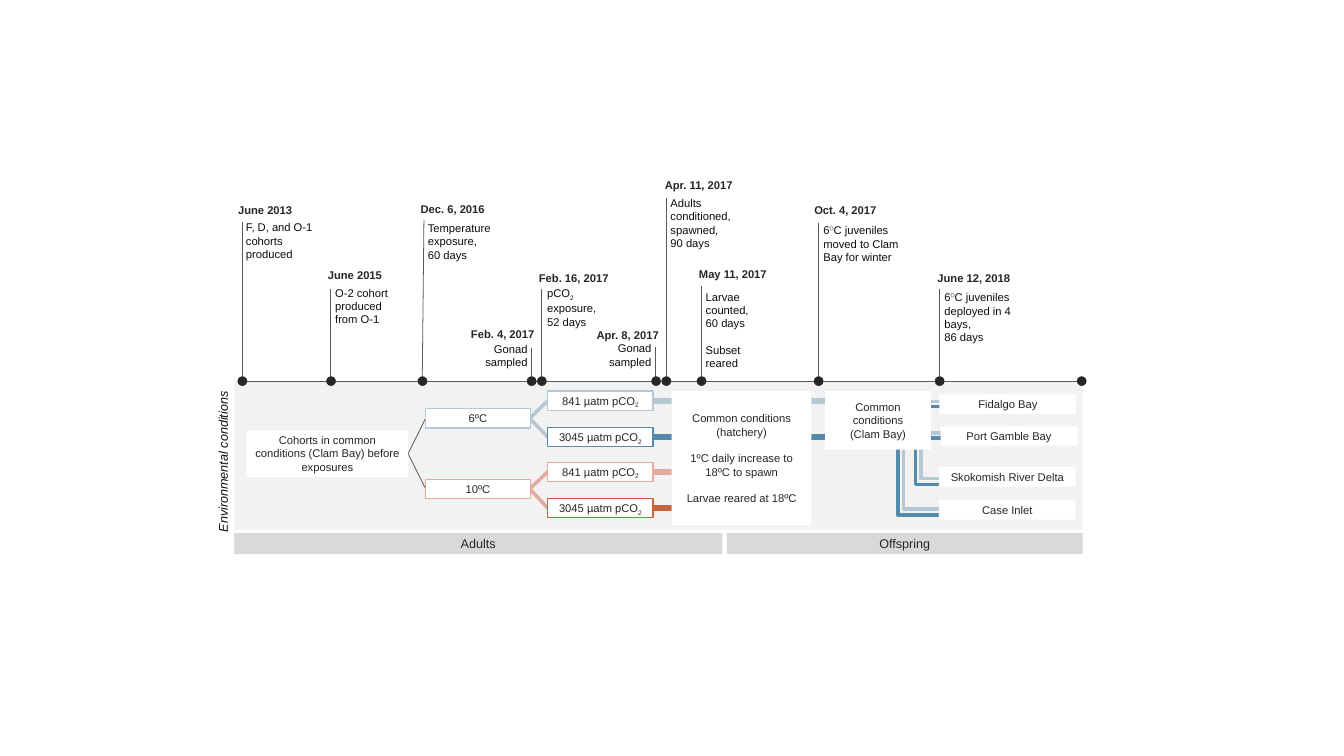
"""Build the timeline slide of the oyster exposure study."""
from lxml import etree
from pptx import Presentation, util as u
from pptx.dml.color import RGBColor
from pptx.enum import shapes, text
from pptx.oxml.ns import qn

INK, DARK, GREY, WHITE = "262626", "0D0D0D", "595959", "FFFFFF"
PALE, BLUE, PINK, RUST = "B6C9D2", "538BAC", "E2AB9E", "C86442"
LEFT, MID, RIGHT = text.PP_ALIGN.LEFT, text.PP_ALIGN.CENTER, text.PP_ALIGN.RIGHT
AXIS = 6.71
SIZE = 14.2
BLANK = 16.3
SUB = ("2", "sub")
DEGREE = ("º", "808080")


def inch(value):
    """Turn inches into a length."""
    return u.Cm(value * 2.54)


def tint(code):
    """Turn a hex string into a colour."""
    return RGBColor.from_string(code)


def write(frame, paras, color=INK, align=MID, size=SIZE, bold=False,
          slant=False, gaps=(), anchor=text.MSO_ANCHOR.TOP):
    """Fill a text frame run by run, with a blank line's space at each gap."""
    frame.word_wrap = True
    frame.vertical_anchor = anchor
    for i, runs in enumerate(paras):
        para = frame.paragraphs[0] if i == 0 else frame.add_paragraph()
        para.alignment = align
        if i in gaps:
            para.space_before = u.Pt(BLANK)
        for part in [runs] if isinstance(runs, str) else runs:
            words, kind = (part, "") if isinstance(part, str) else part
            run = para.add_run()
            run.text = words
            font = run.font
            font.name, font.size = "Arial", u.Pt(size)
            font.bold, font.italic = bold, slant
            font.color.rgb = tint(kind if len(kind) == 6 else color)
            if kind == "sub":
                font._element.set("baseline", "-25000")


def label(slide, x, y, w, h, paras, **style):
    """Add a text box."""
    box = slide.shapes.add_textbox(inch(x), inch(y), inch(w), inch(h))
    write(box.text_frame, paras, **style)
    return box


def block(slide, x, y, w, h, fill, edge=None, paras=(),
          kind=shapes.MSO_SHAPE.RECTANGLE, **style):
    """Add a filled shape with an optional edge and text."""
    shape = slide.shapes.add_shape(kind, inch(x), inch(y), inch(w), inch(h))
    shape.shadow.inherit = False
    shape.fill.solid()
    shape.fill.fore_color.rgb = tint(fill)
    if edge:
        shape.line.color.rgb = tint(edge)
        shape.line.width = u.Pt(1.5)
    else:
        shape.line.fill.background()
    if paras:
        write(shape.text_frame, paras, **style)


def dot(slide, x):
    """Mark a date on the time axis."""
    block(slide, x - 0.08, AXIS - 0.09, 0.17, 0.17, INK, kind=shapes.MSO_SHAPE.OVAL)


def line(slide, x1, y1, x2, y2, color=GREY, width=1):
    """Add a straight line."""
    link = slide.shapes.add_connector(
        shapes.MSO_CONNECTOR.STRAIGHT, inch(x1), inch(y1), inch(x2), inch(y2))
    link.line.color.rgb = tint(color)
    link.line.width = u.Pt(width)
    etree.SubElement(link._element.spPr, qn("a:effectLst"))


def bend(slide, x, top, end, y, color):
    """Add a route that runs down and then right."""
    path = slide.shapes.build_freeform(inch(x), inch(top), scale=1.0)
    path.add_line_segments([(inch(x), inch(y)), (inch(end), inch(y))], close=False)
    shape = path.convert_to_shape()
    shape.shadow.inherit = False
    shape.fill.background()
    shape.line.color.rgb = tint(color)
    shape.line.width = u.Pt(4.5)


def events(slide):
    """Add dates, stems, notes and dots along the axis."""
    # stem x, tip x, tip y, date centre, date y, note x, y, width, paragraphs
    rows = [
        (4.26, 4.26, 3.91, 4.67, 3.52, 4.23, 3.83, 1.44, ["F, D, and O-1 cohorts produced"]),
        (5.82, 5.82, 5.08, 6.25, 4.67, 5.8, 4.98, 1.37, ["O-2 cohort produced from O-1"]),
        (7.43, 7.46, 3.87, 7.97, 3.51, 7.43, 3.84, 1.54, ["Temperature exposure,", "60 days"]),
        (9.35, 9.35, 6.12, 8.85, 5.71, 8.09, 5.97, 1.29, ["Gonad sampled"]),
        (9.53, 9.53, 5.09, 10.1, 4.72, 9.53, 4.99, 1.29, [["pCO", SUB, " exposure, 52 days"]]),
        (11.54, 11.54, 6.11, 11.05, 5.72, 10.27, 5.96, 1.29, ["Gonad sampled"]),
        (11.72, 11.72, 3.49, 12.3, 3.09, 11.7, 3.4, 1.59,
         ["Adults conditioned, spawned,", "90 days"]),
        (12.34, 12.34, 5.04, 12.9, 4.66, 12.32, 5.05, 1.39,
         ["Larvae counted,", "60 days", "Subset reared"]),
        (14.4, 14.4, 3.92, 14.88, 3.52, 14.39, 3.88, 1.59,
         [["6", DEGREE, "C juveniles moved to Clam Bay for winter"]]),
        (16.53, 16.53, 5.09, 17.14, 4.72, 16.52, 5.06, 1.45,
         [["6", DEGREE, "C juveniles deployed in 4 bays,"], "86 days"]),
    ]
    dates = ["June 2013", "June 2015", "Dec. 6, 2016", "Feb. 4, 2017", "Feb. 16, 2017",
             "Apr. 8, 2017", "Apr. 11, 2017", "May 11, 2017", "Oct. 4, 2017", "June 12, 2018"]
    for date, (x, tip, top, mid, high, left, y, w, note) in zip(dates, rows):
        line(slide, x, AXIS, tip, top)
        dot(slide, x)
        label(slide, mid - 0.88, high, 1.75, 0.34, [date], bold=True)
        label(slide, left, y, w, 0.82, note, color=DARK, gaps=(2,),
              align=RIGHT if left < x - 1 else LEFT)


def links(slide):
    """Add the lines that join the conditions."""
    for x, end, y, color in [(16.21, 17.02, 8.42, PALE), (16.11, 16.92, 8.52, BLUE),
                             (15.9, 16.7, 8.95, PALE), (15.8, 16.6, 9.06, BLUE)]:
        bend(slide, x, 7.5, end, y, color)
    for y in (7.36, 8.6):
        line(slide, 7.18, 7.98, 7.49, y)
    for y, ends, color in [(7.36, (7.05, 7.69), PALE), (8.6, (8.3, 8.94), PINK)]:
        for end in ends:
            line(slide, 9.32, y, 9.64, end, color, 4.5)
    for y in (7.06, 7.62):
        line(slide, 16.34, y, 16.55, y, PALE, 4.5)
        line(slide, 16.34, y + 0.09, 16.55, y + 0.09, BLUE, 4.5)
    for y, end, color in [(7.05, 14.52, PALE), (7.69, 14.83, BLUE),
                          (8.3, 11.82, PINK), (8.94, 11.82, RUST)]:
        line(slide, 11.49, y, end, y, color, 8)


def boxes(slide):
    """Add the boxes that name conditions and sites."""
    block(slide, 4.34, 7.57, 2.84, 0.82, WHITE,
          paras=["Cohorts in common conditions (Clam Bay) before exposures"])
    for y, heat, color in [(7.19, "6ºC", PALE), (8.43, "10ºC", PINK)]:
        block(slide, 7.49, y, 1.84, 0.34, WHITE, color, [heat])
    for y, dose, color in [(6.88, "841", PALE), (7.52, "3045", BLUE),
                           (8.13, "841", PINK), (8.77, "3045", RUST)]:
        block(slide, 9.64, y, 1.85, 0.34, WHITE, color, [[dose + " µatm pCO", SUB]])
    block(slide, 11.82, 6.88, 2.46, 2.36, WHITE, gaps=(1, 2), anchor=text.MSO_ANCHOR.MIDDLE,
          paras=["Common conditions (hatchery)", "1ºC daily increase to 18ºC to spawn",
                 "Larvae reared at 18ºC"])
    block(slide, 14.52, 6.88, 1.86, 1.03, WHITE, anchor=text.MSO_ANCHOR.MIDDLE,
          paras=["Common conditions", "(Clam Bay)"])
    for x, y, site in [(16.53, 6.94, "Fidalgo Bay"), (16.55, 7.5, "Port Gamble Bay"),
                       (16.52, 8.22, "Skokomish River Delta"), (16.52, 8.8, "Case Inlet")]:
        block(slide, x, y, 2.41, 0.34, WHITE, paras=[site])
    for x, w, stage in [(4.12, 8.59, "Adults"), (12.79, 6.26, "Offspring")]:
        block(slide, x, 9.38, w, 0.37, "D9D9D9", paras=[stage], size=16)


def main():
    """Build and save the slide."""
    deck = Presentation()
    deck.slide_width, deck.slide_height = inch(23.65), inch(13.3)
    slide = deck.slides.add_slide(deck.slide_layouts[6])
    block(slide, 4.13, AXIS, 14.92, 2.61, "F2F2F2")
    links(slide)
    boxes(slide)
    line(slide, 4.25, AXIS, 19.11, AXIS, width=1.5)
    events(slide)
    dot(slide, 19.03)
    side = label(slide, 2.41, 7.94, 3.03, 0.37, ["Environmental conditions"],
                 color=DARK, size=16, slant=True)
    side.rotation = 270
    deck.save("out.pptx")


if __name__ == "__main__":
    main()
